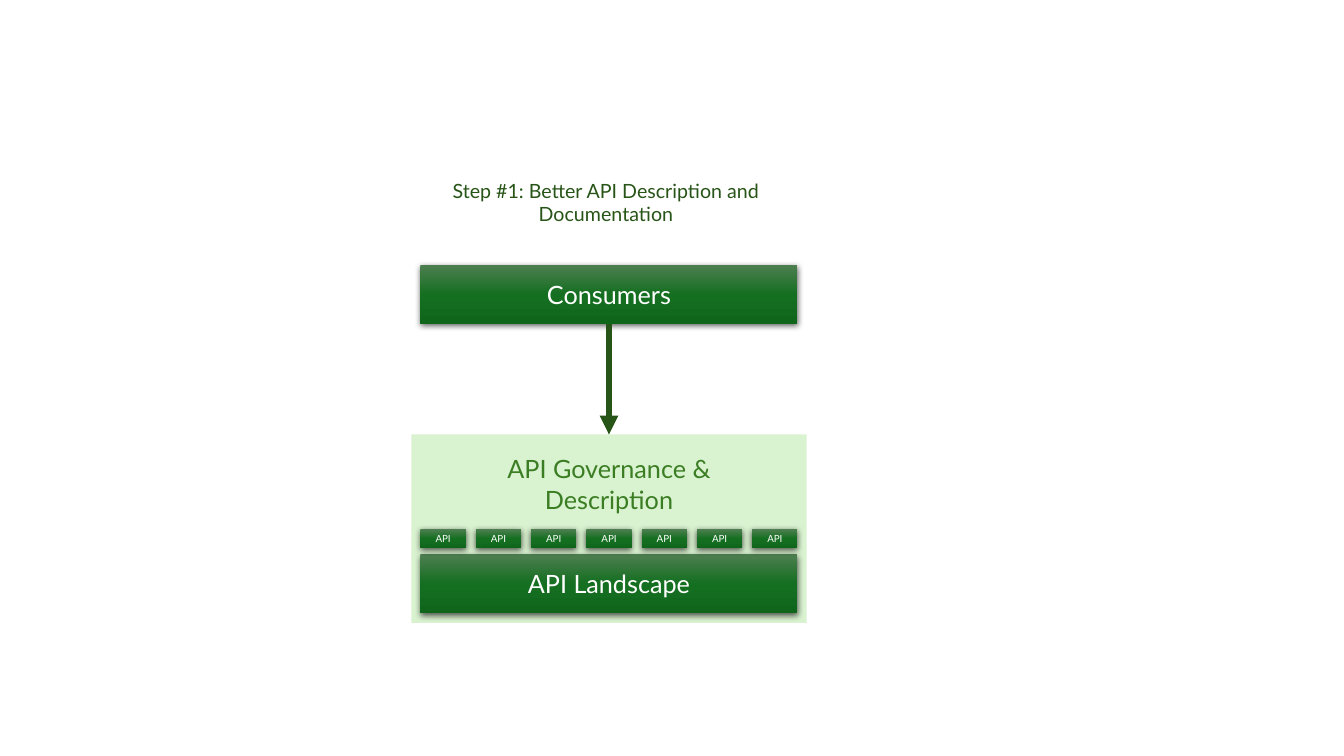
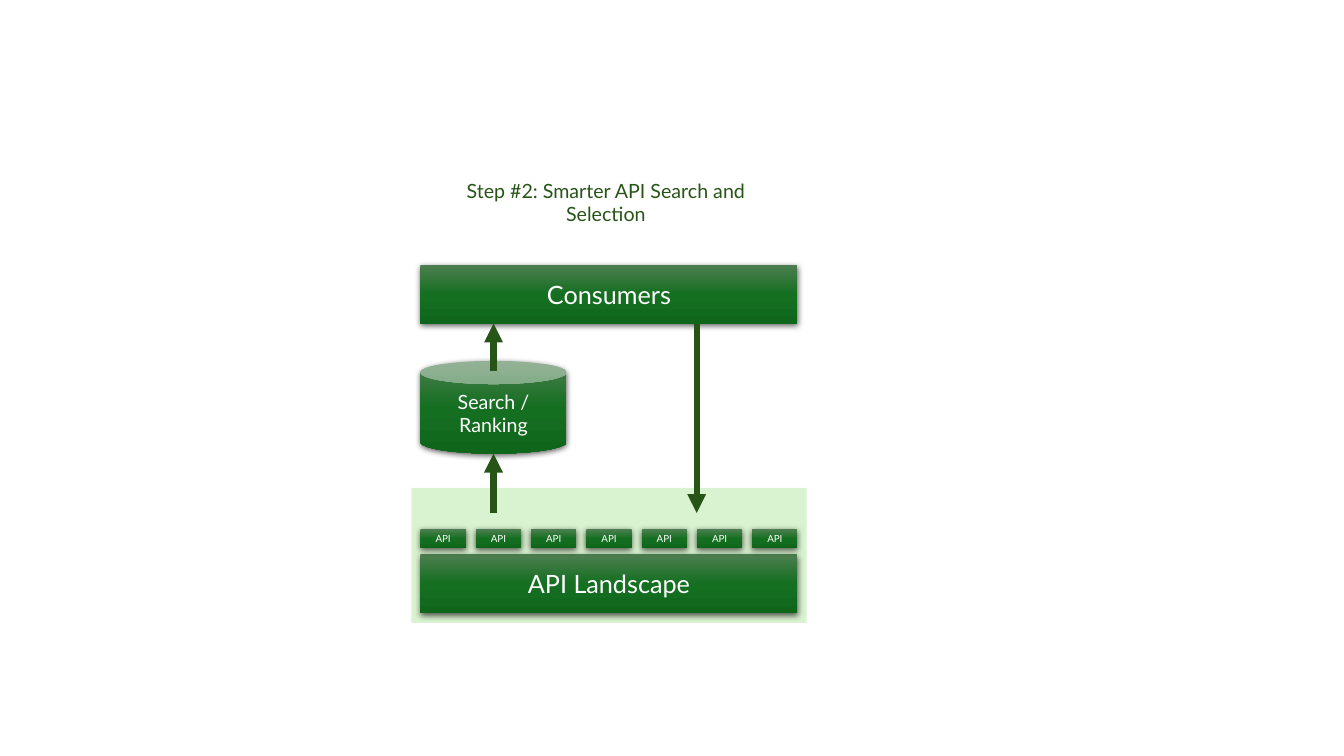
from dataclasses import dataclass

from lxml import etree
from pptx import Presentation
from pptx.dml.color import RGBColor
from pptx.enum.shapes import MSO_CONNECTOR, MSO_SHAPE
from pptx.enum.text import MSO_ANCHOR, MSO_AUTO_SIZE, PP_ALIGN
from pptx.oxml.ns import qn
from pptx.util import Emu, Pt

EMU_PER_PX = 9144  # 100 px to the inch
TITLE_ONLY = 5


@dataclass(frozen=True)
class Theme:
    font: str = "Lato"
    gradient: tuple = ((0, "4D7E50"), (50, "156F21"), (100, "0F661B"))
    panel: str = "D9F2D0"
    panel_text: str = "3B7D23"
    dark: str = "275417"
    light: str = "FFFFFF"
    shadow: str = "000000"
    label: int = 18
    caption: int = 14
    chip: int = 7
    arrow: float = 4.5


THEME = Theme()

BAR_X, BAR_W, BAR_H = 417, 374, 58
CONSUMERS_Y, LANDSCAPE_Y = 263, 550
CONSUMERS_BOTTOM = CONSUMERS_Y + BAR_H
CHIP_Y, CHIP_W, CHIP_H, CHIP_COUNT = 525, 45, 19, 7
PANEL_MARGIN = 9
PANEL_BOTTOM = 618


def px(n):
    return Emu(round(n * EMU_PER_PX))


def rgb(color):
    return RGBColor.from_string(color)


def sub(parent, tag, **attrs):
    """Append a DrawingML child element."""
    child = etree.SubElement(parent, qn(tag))
    for name, value in attrs.items():
        child.set(name, str(value))
    return child


def write(tf, text, size, color):
    tf.word_wrap = True
    tf.text = text
    for p in tf.paragraphs:
        p.alignment = PP_ALIGN.CENTER
        p.font.name = THEME.font
        p.font.size = Pt(size)
        p.font.color.rgb = rgb(color)


def add_shape(slide, kind, x, y, w, h):
    sp = slide.shapes.add_shape(kind, px(x), px(y), px(w), px(h))
    sp.line.fill.background()
    sp.shadow.inherit = False
    return sp


def add_block(slide, text, x, y, w, h, size, kind=MSO_SHAPE.RECTANGLE):
    """Green gradient shape with a soft shadow and a centred label."""
    sp = add_shape(slide, kind, x, y, w, h)
    sp.fill.gradient()
    sp.fill.gradient_angle = 270
    props = sp._element.spPr
    stops = props.find(".//" + qn("a:gsLst"))
    for stop in list(stops):
        stops.remove(stop)
    for percent, color in THEME.gradient:
        stop = sub(stops, "a:gs", pos=percent * 1000)
        sub(stop, "a:srgbClr", val=color)
    shadow = sub(props.find(qn("a:effectLst")), "a:outerShdw", blurRad=Pt(4.5),
                 dist=Pt(1.5), dir=5400000, algn="ctr", rotWithShape=0)
    sub(sub(shadow, "a:srgbClr", val=THEME.shadow), "a:alpha", val=63000)
    sp.text_frame.vertical_anchor = MSO_ANCHOR.MIDDLE
    write(sp.text_frame, text, size, THEME.light)
    return sp


def add_bar(slide, text, y):
    return add_block(slide, text, BAR_X, y, BAR_W, BAR_H, THEME.label)


def add_panel(slide, top, text=""):
    sp = add_shape(slide, MSO_SHAPE.RECTANGLE, BAR_X - PANEL_MARGIN, top,
                   BAR_W + 2 * PANEL_MARGIN, PANEL_BOTTOM - top)
    sp.fill.solid()
    sp.fill.fore_color.rgb = rgb(THEME.panel)
    if text:
        sp.text_frame.vertical_anchor = MSO_ANCHOR.TOP
        sp.text_frame.margin_top = px(19)
        write(sp.text_frame, text, THEME.label, THEME.panel_text)
    return sp


def add_landscape(slide):
    """API Landscape bar with its row of API chips."""
    add_bar(slide, "API Landscape", LANDSCAPE_Y)
    pitch = (BAR_W - CHIP_W) / (CHIP_COUNT - 1)
    for i in range(CHIP_COUNT):
        add_block(slide, "API", BAR_X + i * pitch, CHIP_Y, CHIP_W, CHIP_H, THEME.chip)


def add_arrow(slide, x, y1, y2):
    """Vertical arrow pointing at y2."""
    line = slide.shapes.add_connector(MSO_CONNECTOR.STRAIGHT, px(x), px(y1), px(x), px(y2))
    line.line.color.rgb = rgb(THEME.dark)
    line.line.width = Pt(THEME.arrow)
    sub(line.line._get_or_add_ln(), "a:tailEnd", type="triangle")
    sub(line._element.spPr, "a:effectLst")
    return line


def add_step(prs, caption):
    slide = prs.slides.add_slide(prs.slide_layouts[TITLE_ONLY])
    title = slide.shapes.title
    title.left, title.top, title.width, title.height = px(415), px(172), px(372), px(57)
    tf = title.text_frame
    tf.auto_size = MSO_AUTO_SIZE.NONE
    tf.vertical_anchor = MSO_ANCHOR.TOP
    write(tf, caption, THEME.caption, THEME.dark)
    return slide


def build_description_step(prs):
    slide = add_step(prs, "Step #1: Better API Description and Documentation")
    top = 431
    panel = add_panel(slide, top, "API Governance &\nDescription")
    add_landscape(slide)
    consumers = add_bar(slide, "Consumers", CONSUMERS_Y)
    arrow = add_arrow(slide, BAR_X + BAR_W / 2, CONSUMERS_BOTTOM, top)
    arrow.begin_connect(consumers, 2)
    arrow.end_connect(panel, 0)


def build_search_step(prs):
    slide = add_step(prs, "Step #2: Smarter API Search and Selection")
    add_panel(slide, 484)
    add_landscape(slide)
    can_y, can_w, can_h = 358, 145, 92
    add_block(slide, "Search /\vRanking", BAR_X, can_y, can_w, can_h,
              THEME.caption, MSO_SHAPE.CAN)
    add_bar(slide, "Consumers", CONSUMERS_Y)
    can_middle, arrow_foot = BAR_X + can_w / 2, 509
    add_arrow(slide, 691, CONSUMERS_BOTTOM, arrow_foot)
    add_arrow(slide, can_middle, can_y + 10, CONSUMERS_BOTTOM)
    add_arrow(slide, can_middle, arrow_foot, can_y + can_h)


def main():
    prs = Presentation()
    prs.slide_width, prs.slide_height = px(1333), px(750)
    build_description_step(prs)
    build_search_step(prs)
    prs.save("out.pptx")


if __name__ == "__main__":
    main()
